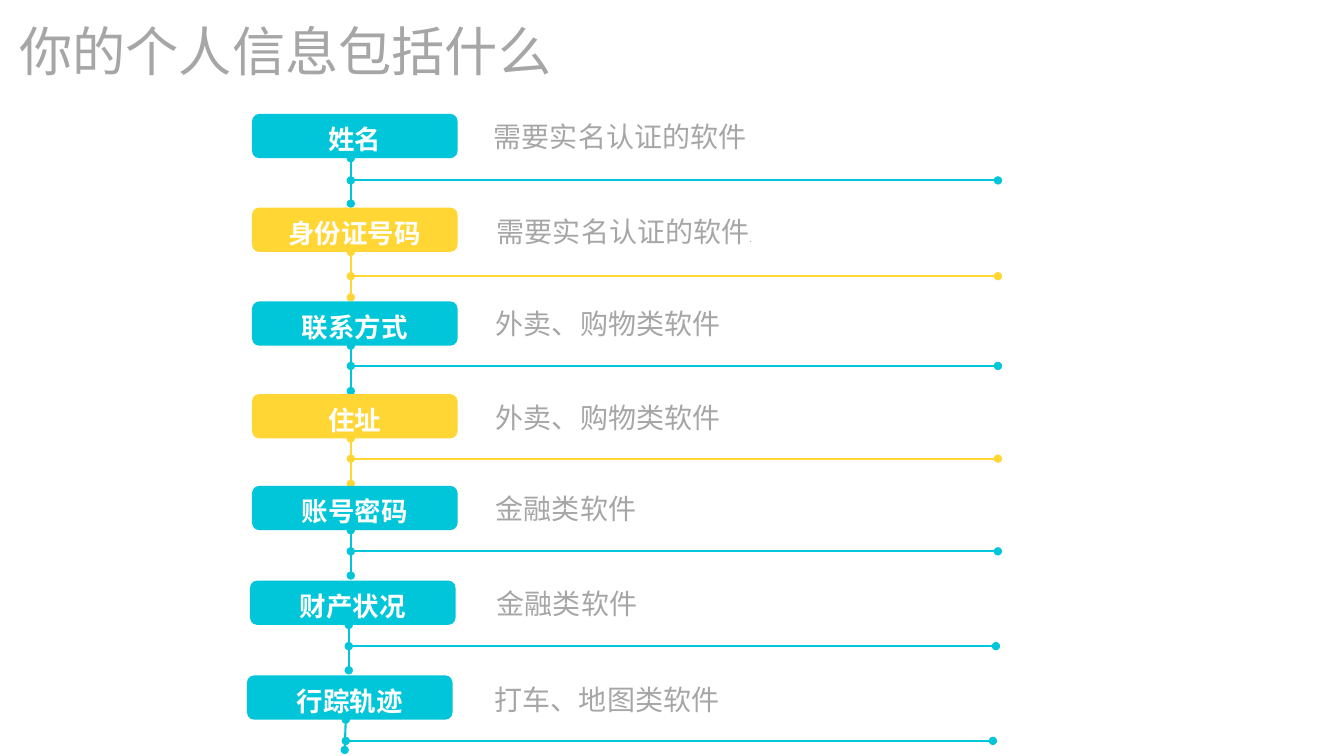
from lxml.etree import SubElement
from pptx import Presentation
from pptx.dml.color import RGBColor
from pptx.enum.shapes import MSO_CONNECTOR as Link, MSO_SHAPE as Shape
from pptx.enum.text import MSO_ANCHOR as Anchor, MSO_AUTO_SIZE as Fit, PP_ALIGN as Align
from pptx.oxml.ns import qn
from pptx.util import Inches, Pt

CYAN = RGBColor(0x01, 0xC6, 0xD9)
GOLD = RGBColor(0xFF, 0xD6, 0x33)
GREY = RGBColor(0xA6, 0xA6, 0xA6)
WHITE = RGBColor(0xFF, 0xFF, 0xFF)
LATIN, HAN = "Arial", "Noto Sans CJK SC"
COLS, ROWS = 133.33, 75
CELL = 0.1
TAG_W, TAG_H = 20.4, 4.4
NOTE_W, NOTE_H = 46.3, 4
STEM, REACH, DROP = 9.8, 74, 4.5

ITEMS = [
    ("姓名", CYAN, 25, 11.3, 17.9, "需要实名认证的软件", 49, 11.2),
    ("身份证号码", GOLD, 25, 20.6, 27.4, "需要实名认证的软件", 49.3, 20.6),
    ("联系方式", CYAN, 25, 29.9, 36.3, "外卖、购物类软件", 49.2, 29.7),
    ("住址", GOLD, 25, 39.1, 45.5, "外卖、购物类软件", 49.2, 39.1),
    ("账号密码", CYAN, 25, 48.2, 54.7, "金融类软件", 49.2, 48.1),
    ("财产状况", CYAN, 24.8, 57.6, 64.1, "金融类软件", 49.3, 57.5),
    ("行踪轨迹", CYAN, 24.5, 67, 73.5, "打车、地图类软件", 49.1, 67),
]


def grid(*cells):
    return [Inches(cell * CELL) for cell in cells]


class Board:
    """Draws styled elements on one slide, placed in cells of a tenth-inch grid."""

    def __init__(self):
        self.deck = Presentation()
        self.deck.slide_width, self.deck.slide_height = grid(COLS, ROWS)
        self.slide = self.deck.slides.add_slide(self.deck.slide_layouts[6])
        self.shapes = self.slide.shapes

    def text(self, frame, words, size, color, bold=False, face=LATIN):
        para = frame.paragraphs[0]
        para.add_run().text = words
        font = para.font
        font.name, font.size, font.bold = face, Pt(size), bold
        font.color.rgb = color
        SubElement(para._p.pPr.find(qn("a:defRPr")), qn("a:ea"), typeface=HAN)
        return para

    def tag(self, words, color, x, y):
        box = self.shapes.add_shape(Shape.ROUNDED_RECTANGLE, *grid(x, y, TAG_W, TAG_H))
        box.shadow.inherit = False
        box.fill.solid()
        box.fill.fore_color.rgb = color
        box.line.fill.background()
        box.text_frame.vertical_anchor = Anchor.MIDDLE
        para = self.text(box.text_frame, words, 18.9, WHITE, True)
        para.alignment, para.line_spacing = Align.CENTER, 1.2

    def label(self, words, size, x, y, wide, high, face=LATIN):
        frame = self.shapes.add_textbox(*grid(x, y, wide, high)).text_frame
        frame.margin_left = frame.margin_right = 0
        frame.margin_top = frame.margin_bottom = 0
        frame.word_wrap, frame.auto_size = True, Fit.SHAPE_TO_FIT_TEXT
        return frame, self.text(frame, words, size, GREY, face=face)

    def title(self, words):
        frame, _ = self.label(words, 38, 1.9, 1.8, 53.1, 6.4)
        frame.vertical_anchor = Anchor.MIDDLE

    def note(self, words, x, y, face):
        _, para = self.label(words, 20, x, y, NOTE_W, NOTE_H, face)
        para.line_spacing, para.space_before = 1.2, Pt(4)
        return para

    def line(self, color, *ends):
        link = self.shapes.add_connector(Link.STRAIGHT, *grid(*ends))
        link.line.color.rgb, link.line.width = color, Pt(1.5)
        stroke = link.line._get_or_add_ln()
        for end in ("a:headEnd", "a:tailEnd"):
            SubElement(stroke, qn(end), type="oval")
        SubElement(link._element.spPr, qn("a:effectLst"))


def main():
    board = Board()
    board.title("你的个人信息包括什么")
    for row, (name, color, x, y, rule, words, left, top) in enumerate(ITEMS):
        last = row == len(ITEMS) - 1
        stem, base = x + STEM, y + TAG_H
        board.tag(name, color, x, y)
        foot = (stem - 0.1, base + 3) if last else (stem, base + DROP)
        board.line(color, stem, base, *foot)
        board.line(color, x + REACH, rule, stem, rule)
        para = board.note(words, left, top, LATIN if row else HAN)
        if row == 1:
            dot = para.add_run()
            dot.text, dot.font.size = ".", Pt(7.6)
    board.deck.save("out.pptx")


if __name__ == "__main__":
    main()
